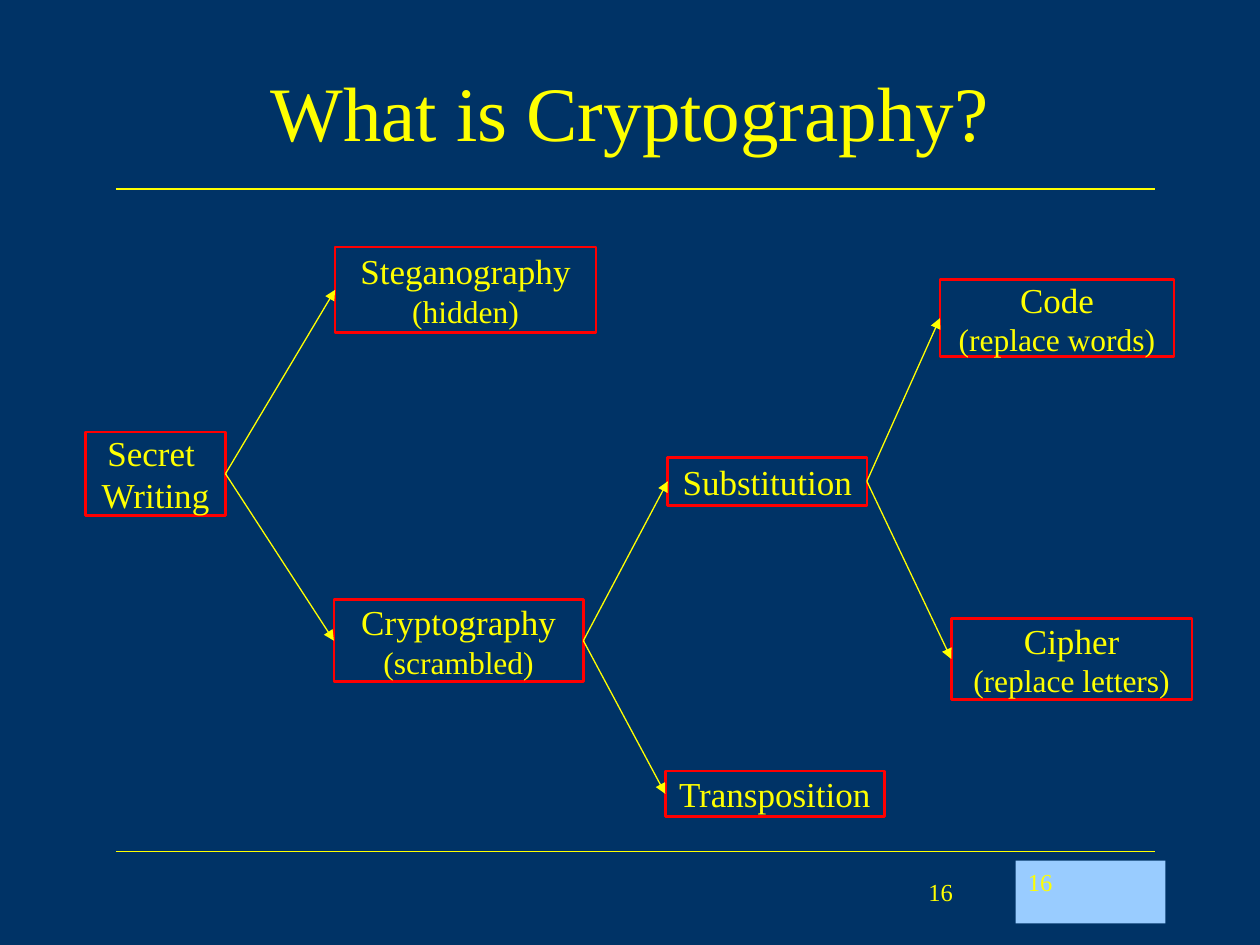
from lxml import etree
from pptx import Presentation
from pptx import util as u
from pptx.dml.color import RGBColor
from pptx.enum import shapes, text
from pptx.oxml.ns import qn

COLORS = {"background": "003366", "yellow": "FFFF00", "red": "FF0000", "number_fill": "99CCFF"}
COLORS = {name: RGBColor.from_string(value) for name, value in COLORS.items()}
RIGHT, LEFT = 3, 1


def write(shape, lines, align=text.PP_ALIGN.LEFT, anchor=text.MSO_ANCHOR.TOP, wrap=True):
    frame = shape.text_frame
    frame.word_wrap = wrap
    frame.vertical_anchor = anchor
    for index, (words, size) in enumerate(lines):
        para = frame.add_paragraph() if index else frame.paragraphs[0]
        para.text = words
        para.alignment = align
        para.font.name = "Times New Roman"
        para.font.size = u.Pt(size)
        para.font.color.rgb = COLORS["yellow"]


def add_line(page, x1, y1, x2, y2):
    line = page.shapes.add_connector(
        shapes.MSO_CONNECTOR.STRAIGHT, u.Inches(x1), u.Inches(y1), u.Inches(x2), u.Inches(y2))
    line.line.color.rgb = COLORS["yellow"]
    line.line.width = u.Pt(0.75)
    etree.SubElement(line._element.spPr, qn("a:effectLst"))
    return line


deck = Presentation()
deck.slide_width, deck.slide_height = u.Inches(10), u.Inches(7.5)
page = deck.slides.add_slide(deck.slide_layouts[6])
page.background.fill.solid()
page.background.fill.fore_color.rgb = COLORS["background"]

for y in (1.5, 6.76):
    add_line(page, 0.92, y, 9.17, y)

footer = page.shapes.add_textbox(u.Inches(7.27), u.Inches(6.91), u.Inches(0.45), u.Inches(0.34))
write(footer, [("16", 14)])

title = page.shapes.add_textbox(u.Inches(0.75), u.Inches(0.25), u.Inches(8.5), u.Inches(1.25))
write(title, [("What is Cryptography?", 44)], text.PP_ALIGN.CENTER, text.MSO_ANCHOR.MIDDLE)

topics = {
    "secret": (0.68, 3.43, 1.11, 0.66, [("Secret ", 20), ("Writing", 20)]),
    "steganography": (2.66, 1.96, 2.07, 0.68, [("Steganography", 20), ("(hidden)", 18)]),
    "cryptography": (2.65, 4.76, 1.98, 0.65, [("Cryptography", 20), ("(scrambled)", 18)]),
    "substitution": (5.3, 3.63, 1.58, 0.38, [("Substitution", 20)]),
    "transposition": (5.28, 6.12, 1.74, 0.36, [("Transposition", 20)]),
    "code": (7.46, 2.22, 1.86, 0.61, [("Code", 20), ("(replace words)", 18)]),
    "cipher": (7.55, 4.91, 1.91, 0.64, [("Cipher", 20), ("(replace letters)", 18)]),
}
boxes = {}
for name, (*place, lines) in topics.items():
    box = page.shapes.add_shape(shapes.MSO_SHAPE.RECTANGLE, *map(u.Inches, place))
    box.shadow.inherit = False
    box.fill.background()
    box.line.color.rgb = COLORS["red"]
    box.line.width = u.Pt(1.5)
    write(box, lines, text.PP_ALIGN.CENTER, text.MSO_ANCHOR.MIDDLE, False)
    boxes[name] = box

branches = {
    "secret": ("cryptography", "steganography"),
    "cryptography": ("substitution", "transposition"),
    "substitution": ("code", "cipher"),
}
for parent, children in branches.items():
    for child in children:
        arrow = add_line(page, 0, 0, 1, 1)
        arrow.begin_connect(boxes[parent], RIGHT)
        arrow.end_connect(boxes[child], LEFT)
        etree.SubElement(arrow.line._get_or_add_ln(), qn("a:tailEnd"), type="triangle")

number = page.shapes.add_shape(
    shapes.MSO_SHAPE.RECTANGLE, u.Inches(8.06), u.Inches(6.83), u.Inches(1.19), u.Inches(0.5))
number.shadow.inherit = False
number.fill.solid()
number.fill.fore_color.rgb = COLORS["number_fill"]
number.line.fill.background()
write(number, [("16", 14)])

deck.save("out.pptx")
